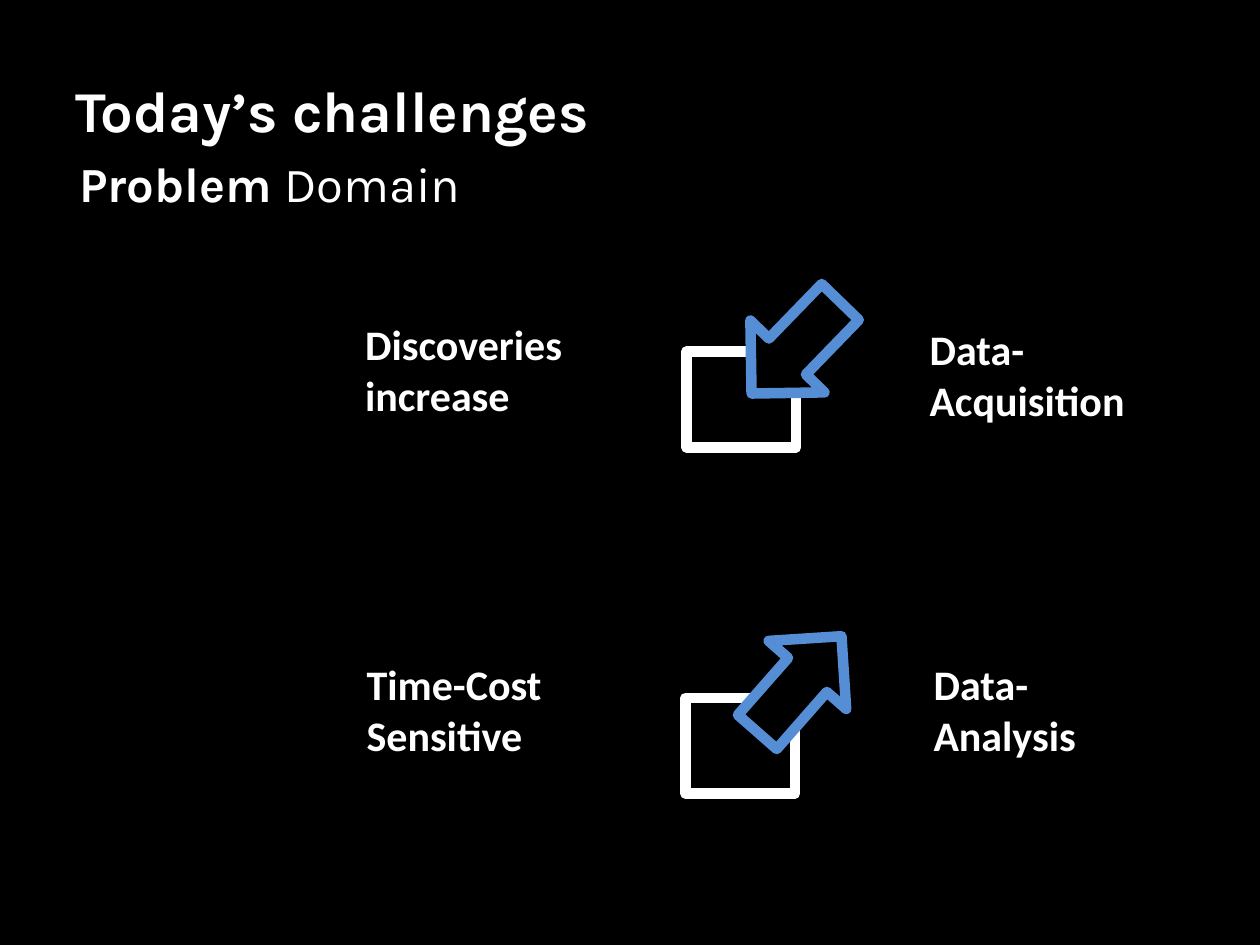
from pptx import Presentation
from pptx.dml.color import RGBColor
from pptx.enum.shapes import MSO_SHAPE
from pptx.enum.text import MSO_ANCHOR
from pptx.util import Cm, Pt


def rgb(value):
    return RGBColor.from_string(value)


def add_text(x, y, w, h, lines, font, size, anchor=MSO_ANCHOR.TOP):
    tf = s.shapes.add_textbox(Cm(x), Cm(y), Cm(w), Cm(h)).text_frame
    tf.word_wrap = True
    tf.vertical_anchor = anchor
    for i, runs in enumerate(lines):
        p = tf.paragraphs[0] if i == 0 else tf.add_paragraph()
        for text, bold in runs:
            r = p.add_run()
            r.text = text
            r.font.name = font
            r.font.size = Pt(size)
            r.font.bold = bold
            r.font.color.rgb = rgb("FFFFFF")


prs = Presentation()
prs.slide_width, prs.slide_height = Cm(25.4), Cm(19.05)
s = prs.slides.add_slide(prs.slide_layouts[6])
s.background.fill.solid()
s.background.fill.fore_color.rgb = rgb("000000")

add_text(1.27, 0.61, 22.86, 3.18, [[("Today’s challenges", True)]], "Karla", 33, MSO_ANCHOR.MIDDLE)
add_text(1.35, 2.97, 14.55, 1.45, [[("Problem ", True), ("Domain", False)]], "Karla", 28)

labels = [
    (7.11, 6.3, 3.07, ["Discoveries increase"]),
    (7.14, 13.16, 4.37, ["Time-Cost", "Sensitive"]),
    (18.57, 13.16, 2.31, ["Data-", "Analysis"]),
    (18.49, 6.4, 3.33, ["Data-", "Acquisition"]),
]
for x, y, h, lines in labels:
    add_text(x, y, 4.8, h, [[(line, True)] for line in lines], "Calibri", 24)

icons = [
    (MSO_SHAPE.RECTANGLE, 13.84, 7.09, 2.21, 1.93, 0, "FFFFFF"),
    (MSO_SHAPE.LEFT_ARROW, 14.76, 5.97, 2.57, 2.08, 314.1, "558ED5"),
    (MSO_SHAPE.RECTANGLE, 13.82, 14.07, 2.21, 1.93, 0, "FFFFFF"),
    (MSO_SHAPE.LEFT_ARROW, 14.83, 12.75, 2.57, 2.08, 131.3, "558ED5"),
]
for kind, x, y, w, h, angle, color in icons:
    sp = s.shapes.add_shape(kind, Cm(x), Cm(y), Cm(w), Cm(h))
    sp.shadow.inherit = False
    sp.rotation = angle
    sp.line.color.rgb = rgb(color)
    sp.line.width = Pt(6)
    if kind == MSO_SHAPE.LEFT_ARROW:
        sp.fill.solid()
        sp.fill.fore_color.rgb = rgb("000000")
    else:
        sp.fill.background()

prs.save("out.pptx")
